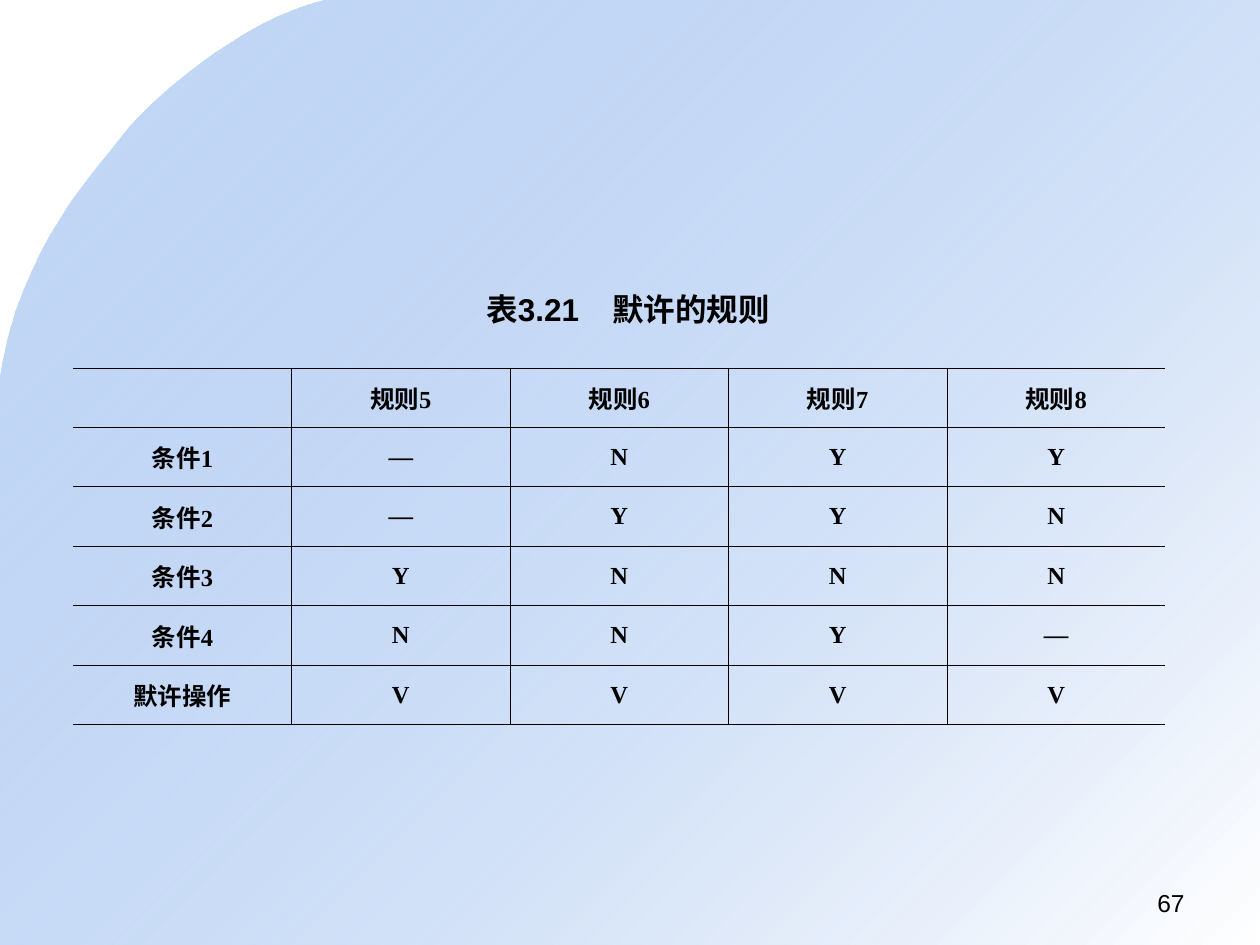
from lxml import etree
from pptx import Presentation
from pptx.dml.color import RGBColor
from pptx.enum.text import MSO_ANCHOR, PP_ALIGN
from pptx.oxml.ns import qn
from pptx.util import Inches, Pt


def style(r, font, size, bold=False):
    r.font.name, r.font.size, r.font.bold = font, Pt(size), bold
    r.font.color.rgb = RGBColor.from_string("000000")


def add_border(cell, side, visible):
    """Draw one cell edge, or leave it open; side is L, R, T or B."""
    ln = etree.SubElement(cell._tc.get_or_add_tcPr(), qn(f"a:ln{side}"), w=str(Pt(0.45)))
    fill = etree.SubElement(ln, qn("a:solidFill" if visible else "a:noFill"))
    if visible:
        etree.SubElement(fill, qn("a:srgbClr"), val="000000")


prs = Presentation()
prs.slide_width, prs.slide_height = Inches(10), Inches(7.5)
s = prs.slides.add_slide(prs.slide_layouts[5])

# Background panel with a curved top-left corner
curves = [
    [(2.58, 0), (1.9, 0.16), (1.16, 0.83), (0.98, 1.07)],
    [(0.98, 1.07), (0.8, 1.32), (0.16, 1.94), (0, 3.01)],
]
STEPS = 16
points = []
for curve in curves:
    for i in range(1, STEPS + 1):
        t = i / STEPS
        weights = ((1 - t) ** 3, 3 * t * (1 - t) ** 2, 3 * t**2 * (1 - t), t**3)
        points.append([sum(w * pt[axis] for w, pt in zip(weights, curve)) for axis in (0, 1)])
points += [(0, 7.5), (10, 7.5), (10, 0)]
builder = s.shapes.build_freeform(Inches(2.58), 0)
builder.add_line_segments([(Inches(x), Inches(y)) for x, y in points])
panel = builder.convert_to_shape()
panel.shadow.inherit = False
panel.line.fill.background()
panel.fill.gradient()
panel.fill.gradient_angle = 315
for stop, color, position in zip(panel.fill.gradient_stops, ("699DE9", "FFFFFF"), (0, 1)):
    stop.color.rgb = RGBColor.from_string(color)
    stop.position = position
first_color = panel._element.spPr.find(".//" + qn("a:srgbClr"))
etree.SubElement(first_color, qn("a:alpha"), val="39000")
s.shapes._spTree.insert(2, panel._element)  # behind the title

# Table caption, with the right margin given up so that it stays on one line
title = s.shapes.title
title.left, title.top, title.width, title.height = map(Inches, (3.76, 2.25, 2.45, 0.4))
tf = title.text_frame
tf.word_wrap = False
tf.margin_right = 0
tf.vertical_anchor = MSO_ANCHOR.TOP
p = tf.paragraphs[0]
p.alignment = PP_ALIGN.LEFT
r = p.add_run()
r.text = "表3.21\t默许的规则"
style(r, "Arial", 18, True)

# Rule table
rows = [
    ["", "规则5", "规则6", "规则7", "规则8"],
    ["条件1", "—", "N", "Y", "Y"],
    ["条件2", "—", "Y", "Y", "N"],
    ["条件3", "Y", "N", "N", "N"],
    ["条件4", "N", "N", "Y", "—"],
    ["默许操作", "V", "V", "V", "V"],
]
n_rows, n_cols = len(rows), len(rows[0])
table = s.shapes.add_table(
    n_rows, n_cols, Inches(0.58), Inches(2.92), Inches(8.67), Inches(2.83)
).table
table.first_row = table.horz_banding = False
for i, row in enumerate(rows):
    for j, text in enumerate(row):
        cell = table.cell(i, j)
        cell.vertical_anchor = MSO_ANCHOR.MIDDLE
        cell.margin_left = cell.margin_right = Inches(0.08)
        for side in "LRTB":
            outer = (side == "L" and j == 0) or (side == "R" and j == n_cols - 1)
            add_border(cell, side, not outer)
        cell.fill.background()
        p = cell.text_frame.paragraphs[0]
        p.alignment = PP_ALIGN.CENTER
        p.space_before = p.space_after = Pt(1.2)
        if text:
            r = p.add_run()
            r.text = text
            style(r, "Times New Roman", 14, True)

# Page number
tf = s.shapes.add_textbox(Inches(7.17), Inches(7), Inches(2.33), Inches(0.35)).text_frame
tf.word_wrap = True
p = tf.paragraphs[0]
p.alignment = PP_ALIGN.RIGHT
r = p.add_run()
r.text = "67"
style(r, "Arial", 14)

prs.save("out.pptx")
